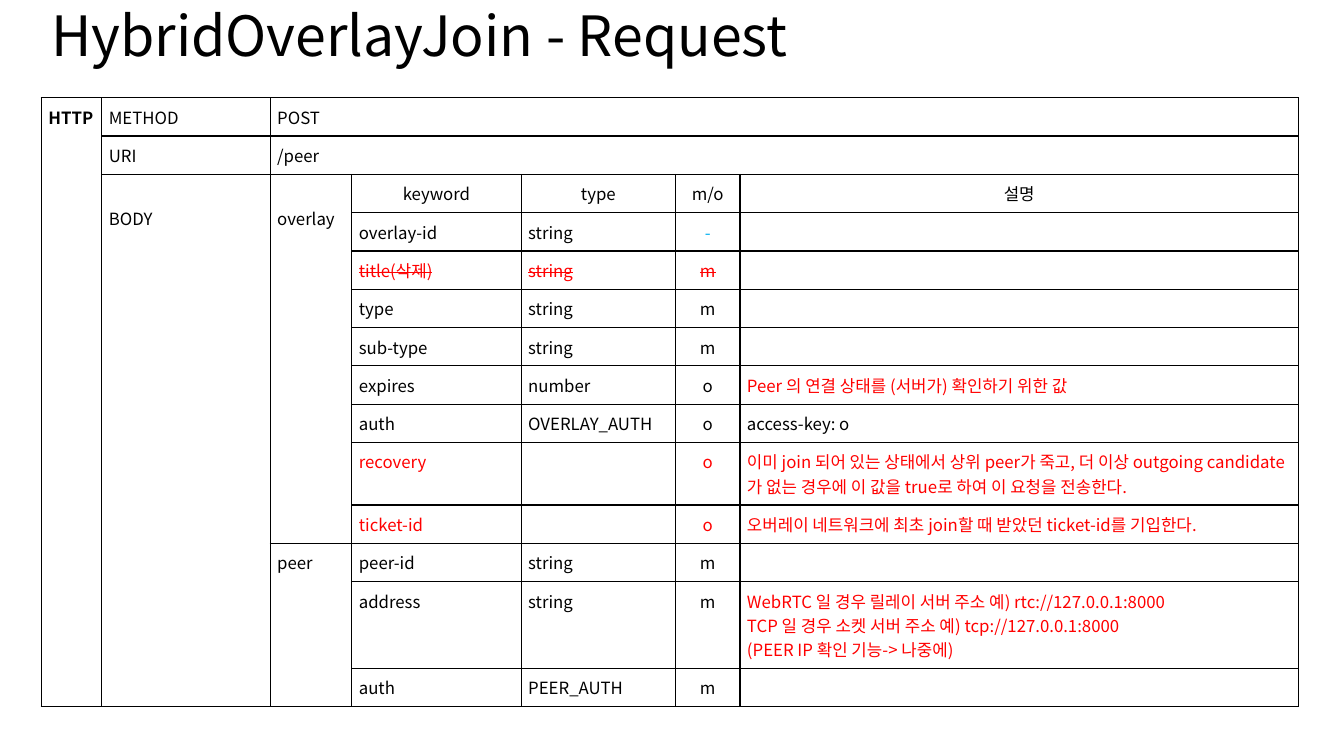
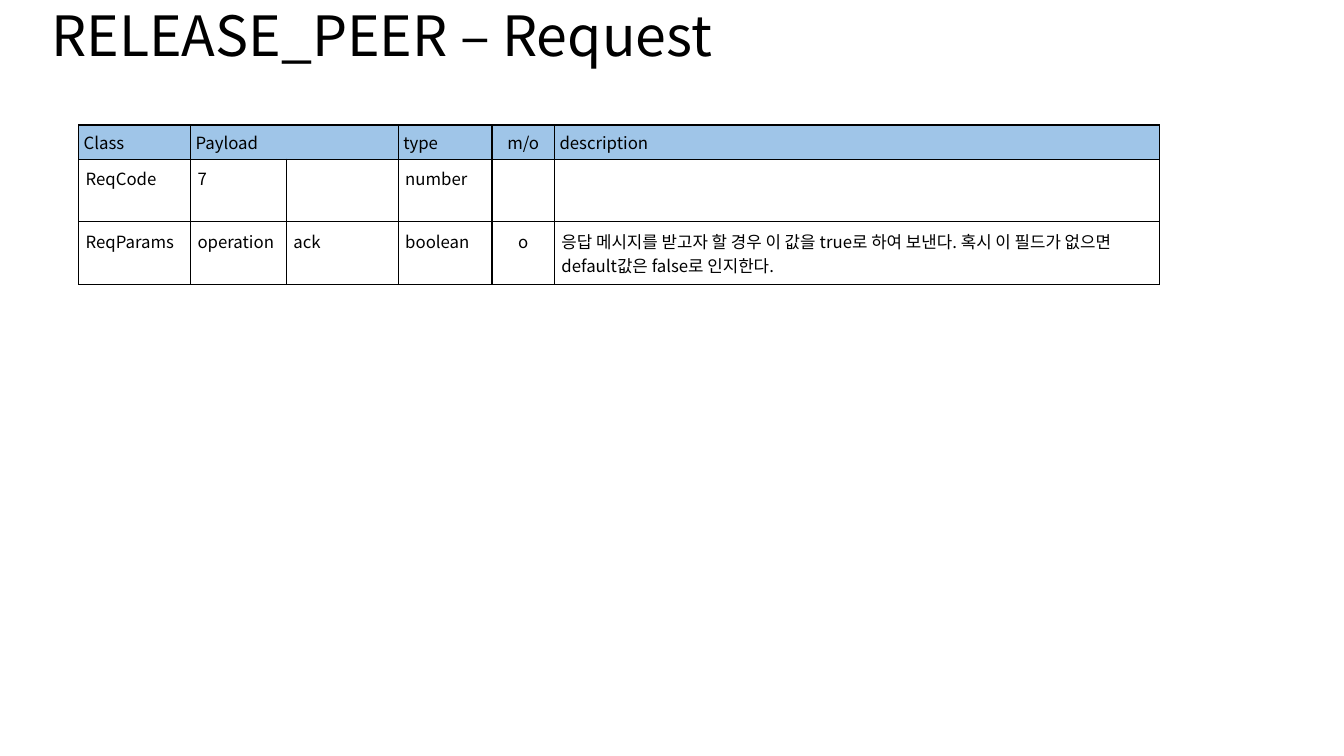
from lxml import etree
from pptx import Presentation
from pptx.dml.color import RGBColor
from pptx.enum import text as t
from pptx.oxml import ns
from pptx.util import Inches, Pt

BLACK = RGBColor(0x00, 0x00, 0x00)
WHITE = RGBColor(0xFF, 0xFF, 0xFF)
RED = RGBColor(0xFF, 0x00, 0x00)
SKY = RGBColor(0x00, 0xB0, 0xF0)
HEADER_BLUE = RGBColor(0x9F, 0xC5, 0xE8)
FONT = "Noto Sans CJK KR"
LEFT, CENTER = t.PP_ALIGN.LEFT, t.PP_ALIGN.CENTER


def write(frame, text, size=12, color=BLACK, bold=False, strike=False, align=LEFT, spacing=None):
    for index, line in enumerate(text.split("\n")):
        paragraph = frame.paragraphs[0] if index == 0 else frame.add_paragraph()
        paragraph.alignment = align
        paragraph.line_spacing = spacing
        if not line:
            etree.SubElement(paragraph._p, ns.qn("a:endParaRPr"), sz=str(size * 100))
            continue
        run = paragraph.add_run()
        run.text = line
        run.font.name, run.font.size, run.font.bold = FONT, Pt(size), bold
        run.font.color.rgb = color
        props = run._r.get_or_add_rPr()
        etree.SubElement(props, ns.qn("a:ea"), typeface=FONT)
        if strike:
            props.set("strike", "sngStrike")


def add_page(title, left, top, widths, heights, merges):
    slide = deck.slides.add_slide(deck.slide_layouts[6])
    heading = slide.shapes.add_textbox(Inches(0.41), Inches(0.02), Inches(12.47), Inches(0.72)).text_frame
    heading.word_wrap = True
    heading.vertical_anchor = t.MSO_ANCHOR.MIDDLE
    write(heading, title, size=39.6, spacing=0.9)

    grid = slide.shapes.add_table(len(heights), len(widths), Inches(left), Inches(top),
                                  Inches(sum(widths)), Inches(sum(heights))).table
    grid.first_row = grid.horz_banding = False
    for column, width in zip(grid.columns, widths):
        column.width = Inches(width)
    for row, height in zip(grid.rows, heights):
        row.height = Inches(height)
    for cell in (cell for row in grid.rows for cell in row.cells):
        cell.margin_left = cell.margin_right = cell.margin_top = cell.margin_bottom = Inches(0.07)
        for side in ("lnL", "lnR", "lnT", "lnB"):
            border = etree.SubElement(cell._tc.get_or_add_tcPr(), ns.qn(f"a:{side}"), w=str(Pt(1)))
            ink = etree.SubElement(border, ns.qn("a:solidFill"))
            etree.SubElement(ink, ns.qn("a:srgbClr"), val=str(BLACK))
        cell.fill.solid()
        cell.fill.fore_color.rgb = WHITE
    for first, last in merges:
        grid.cell(*first).merge(grid.cell(*last))
    return grid


deck = Presentation()
deck.slide_width, deck.slide_height = Inches(13.33), Inches(7.5)

join_heights = [0.38] * 9 + [0.62] + [0.38] * 2 + [0.86, 0.38]
join = add_page(
    "HybridOverlayJoin - Request", 0.41, 0.97,
    [0.6, 1.67, 0.81, 1.68, 1.53, 0.64, 5.54], join_heights,
    [((0, 0), (13, 0)), ((0, 2), (0, 6)), ((1, 2), (1, 6)),
     ((2, 1), (13, 1)), ((2, 2), (10, 2)), ((11, 2), (13, 2))])

write(join.cell(0, 0).text_frame, "HTTP", bold=True)
for row, column, label in [(0, 1, "METHOD"), (0, 2, "POST"), (1, 1, "URI"), (1, 2, "/peer"),
                           (2, 1, "BODY"), (2, 2, "overlay"), (11, 2, "peer")]:
    write(join.cell(row, column).text_frame, label)
for column in (1, 2):
    join.cell(2, column).margin_top = Inches(0.31)

for column, label in enumerate(["keyword", "type", "m/o", "설명"], 3):
    write(join.cell(2, column).text_frame, label, align=CENTER)

fields = [
    ("overlay-id", "string", "-", "", BLACK),
    ("title(삭제)", "string", "m", "", RED),
    ("type", "string", "m", "", BLACK),
    ("sub-type", "string", "m", "", BLACK),
    ("expires", "number", "o", "Peer 의 연결 상태를 (서버가) 확인하기 위한 값", BLACK),
    ("auth", "OVERLAY_AUTH", "o", "access-key: o", BLACK),
    ("recovery", "", "o", "이미 join 되어 있는 상태에서 상위 peer가 죽고, 더 이상 outgoing "
     "candidate가 없는 경우에 이 값을 true로 하여 이 요청을 전송한다.", RED),
    ("ticket-id", "", "o", "오버레이 네트워크에 최초 join할 때 받았던 ticket-id를 기입한다.", RED),
    ("peer-id", "string", "m", "", BLACK),
    ("address", "string", "m", "WebRTC 일 경우 릴레이 서버 주소 예) rtc://127.0.0.1:8000\n"
     "TCP 일 경우 소켓 서버 주소 예) tcp://127.0.0.1:8000\n"
     "(PEER IP 확인 기능-> 나중에)", BLACK),
    ("auth", "PEER_AUTH", "m", "", BLACK),
]
for row, (keyword, kind, need, note, color) in enumerate(fields, 3):
    removed = keyword.startswith("title")
    note_color = BLACK if note.startswith("access-key") else RED
    need_color = SKY if need == "-" else color
    write(join.cell(row, 3).text_frame, keyword, color=color, strike=removed)
    write(join.cell(row, 4).text_frame, kind, color=color, strike=removed)
    write(join.cell(row, 5).text_frame, need, color=need_color, strike=removed, align=CENTER)
    write(join.cell(row, 6).text_frame, note, color=note_color)

release = add_page(
    "RELEASE_PEER – Request", 0.78, 1.24,
    [1.11, 0.95, 1.11, 0.93, 0.62, 6], [0.34, 0.62, 0.62], [((0, 1), (0, 2))])

release_rows = [
    ["Class", "Payload", "", "type", "m/o", "description"],
    ["ReqCode", "7", "", "number", "", ""],
    ["ReqParams", "operation", "ack", "boolean", "o",
     "응답 메시지를 받고자 할 경우 이 값을 true로 하여 보낸다. 혹시 이 필드가 없으면 "
     "default값은 false로 인지한다."],
]
for row, labels in enumerate(release_rows):
    for column, label in enumerate(labels):
        cell = release.cell(row, column)
        write(cell.text_frame, label, align=CENTER if column == 4 else LEFT)
        if row == 0:
            cell.fill.fore_color.rgb = HEADER_BLUE
            cell.margin_left = cell.margin_right = cell.margin_top = cell.margin_bottom = Inches(0.05)

deck.save("out.pptx")
